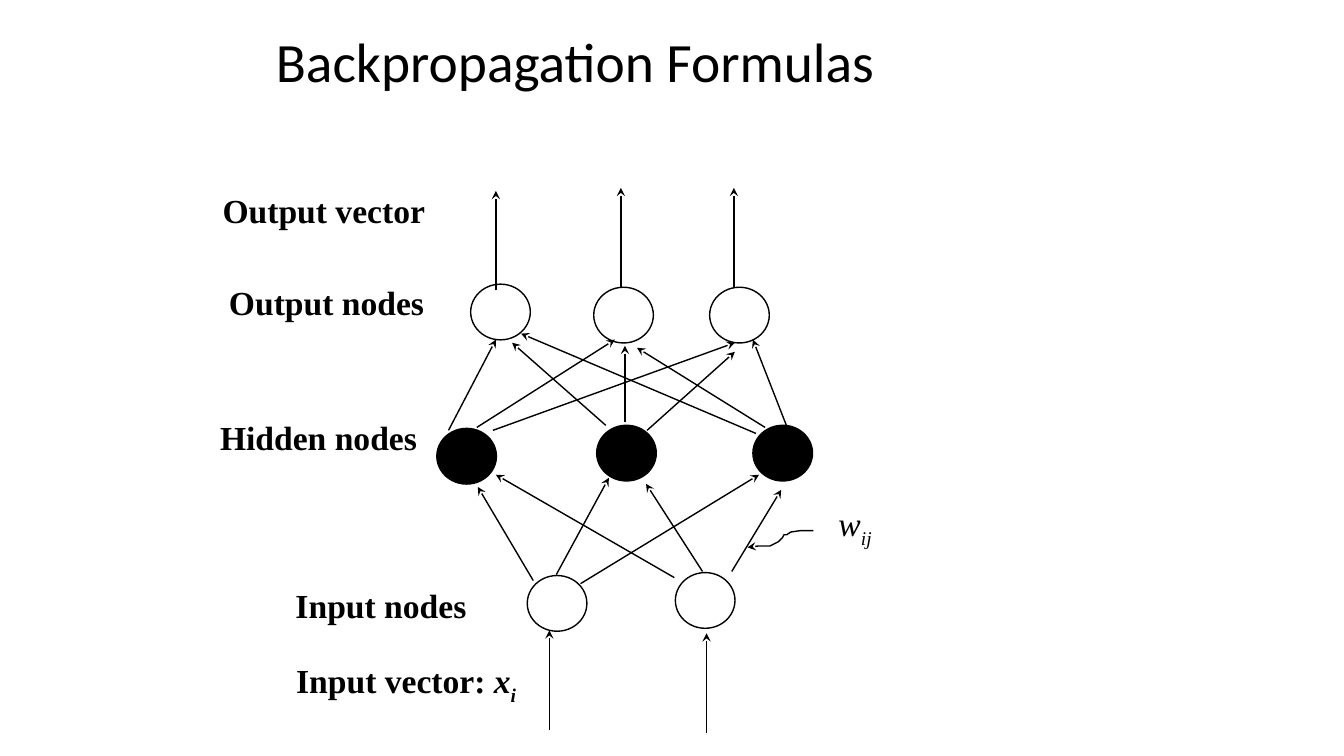
from lxml.etree import SubElement
from pptx import Presentation
from pptx.dml.color import RGBColor
from pptx.enum.shapes import MSO_CONNECTOR, MSO_SHAPE
from pptx.enum.text import MSO_ANCHOR, MSO_AUTO_SIZE, PP_ALIGN
from pptx.oxml.ns import qn
from pptx.util import Pt

BLACK = "000000"
NODE_WIDTH, NODE_HEIGHT = 42.6, 39.8
VECTOR_LENGTH = 71
LABEL_HEIGHT = 36.7

OUTPUT_NODES = [(24.2, 69), (112.1, 71.2), (194.9, 71.2)]
HIDDEN_NODES = [(0, 172), (114.2, 169.8), (225.8, 169.8)]
INPUT_NODES = [(64.6, 277.1), (170.4, 275)]
INPUT_LINKS = [
    (68.9, 280.7, 29.3, 213.8), (85.4, 276.4, 122.9, 207.3), (102.7, 282.9, 230.2, 205.1),
    (169.7, 278.6, 42.2, 205.1), (189.8, 274.2, 149.5, 211.6), (210.7, 274.2, 246, 215.9),
]
HIDDEN_LINKS = [
    (8.4, 173.4, 42.2, 108.6), (28.6, 171.3, 127.2, 108.6), (40.1, 173.4, 212.9, 110.8),
    (228, 175.6, 60.2, 104.3), (250.3, 171.3, 225.8, 108.6), (234.5, 171.3, 143, 114.4),
    (120.7, 169.8, 53.8, 110.8), (134.4, 167.7, 134.4, 113), (150.2, 173.4, 212.9, 117.3),
]
VECTOR_STARTS = [(80.4, 387.3), (192.7, 389.4), (42.2, 73.4), (131.5, 71.2), (212.2, 71.2)]
WEIGHT_POINTER = [
    (269, 244.7), (260.4, 245.4), (253.2, 246.2), (250.3, 247.6), (248.2, 248.3),
    (246.7, 249.8), (246, 251.2), (245.3, 251.9), (243.8, 253.4), (241.7, 254.1),
    (238.1, 255.5), (230.2, 256.2), (221.5, 257),
]

BOLD = {"bold": True}
BOLD_ITALIC = {"bold": True, "italic": True}
ITALIC = {"italic": True}
SUBSCRIPT = {"baseline": "-25000"}
LABELS = [
    (2, 0, 160.6, [("Output vector", BOLD, {})]),
    (6.5, 66, 155.5, [("Output nodes", BOLD, {})]),
    (0, 162, 157, [("Hidden nodes", BOLD, {})]),
    (54, 282, 138.2, [("Input nodes", BOLD, {})]),
    (54, 336, 174.2, [("Input vector: ", BOLD, {}), ("x", BOLD_ITALIC, {}),
                      ("i", BOLD_ITALIC, SUBSCRIPT)]),
    (442, 224, 39.6, [("w", ITALIC, {}), ("ij", ITALIC, SUBSCRIPT)]),
]


def color(value):
    """Turn a hex string into a colour."""
    return RGBColor.from_string(value)


def style_line(shape, arrow=False):
    """Give a shape a thin black line, with a stealth head if asked."""
    shape.line.color.rgb = color(BLACK)
    shape.line.width = Pt(1)
    if arrow:
        SubElement(shape.line._get_or_add_ln(), qn("a:tailEnd"), type="stealth")


def add_run(paragraph, text, formats):
    """Add a black run with the given font values."""
    run = paragraph.add_run()
    run.text = text
    run.font.color.rgb = color(BLACK)
    for name, value in formats.items():
        setattr(run.font, name, value)
    return run


def add_node(slide, left, top, fill=None):
    """Draw one network node."""
    node = slide.shapes.add_shape(MSO_SHAPE.OVAL, Pt(left), Pt(top), Pt(NODE_WIDTH), Pt(NODE_HEIGHT))
    node.shadow.inherit = False
    if fill:
        node.fill.solid()
        node.fill.fore_color.rgb = color(fill)
    else:
        node.fill.background()
    style_line(node)


def add_arrow(slide, start_x, start_y, end_x, end_y):
    """Draw a straight arrow between two points."""
    arrow = slide.shapes.add_connector(
        MSO_CONNECTOR.STRAIGHT, Pt(start_x), Pt(start_y), Pt(end_x), Pt(end_y))
    style_line(arrow, arrow=True)
    SubElement(arrow._element.spPr, qn("a:effectLst"))


def add_network(slide, left, top):
    """Draw the layers, their links and the weight pointer."""
    for nodes, fill in ((OUTPUT_NODES, None), (HIDDEN_NODES, BLACK), (INPUT_NODES, None)):
        for x, y in nodes:
            add_node(slide, left + x, top + y, fill)
    vectors = [(x, y, x, y - VECTOR_LENGTH) for x, y in VECTOR_STARTS]
    for start_x, start_y, end_x, end_y in INPUT_LINKS + HIDDEN_LINKS + vectors:
        add_arrow(slide, left + start_x, top + start_y, left + end_x, top + end_y)
    points = [(left + x, top + y) for x, y in WEIGHT_POINTER]
    builder = slide.shapes.build_freeform(*points[0], scale=Pt(1))
    builder.add_line_segments(points[1:], close=False)
    pointer = builder.convert_to_shape()
    pointer.shadow.inherit = False
    pointer.fill.background()
    style_line(pointer, arrow=True)


def add_labels(slide, left, top):
    """Write the layer names and the weight symbol."""
    for x, y, width, runs in LABELS:
        box = slide.shapes.add_textbox(Pt(left + x), Pt(top + y), Pt(width), Pt(LABEL_HEIGHT))
        frame = box.text_frame
        frame.word_wrap = False
        frame.auto_size = MSO_AUTO_SIZE.SHAPE_TO_FIT_TEXT
        paragraph = frame.paragraphs[0]
        paragraph.alignment = PP_ALIGN.CENTER
        for text, formats, attributes in runs:
            run = add_run(paragraph, text, {"name": "Times New Roman", "size": Pt(24), **formats})
            for name, value in attributes.items():
                run.font._element.set(name, value)


def add_title(slide, left, top, width, height):
    """Write the slide title."""
    frame = slide.shapes.add_textbox(Pt(left), Pt(top), Pt(width), Pt(height)).text_frame
    frame.word_wrap = True
    frame.vertical_anchor = MSO_ANCHOR.MIDDLE
    paragraph = frame.paragraphs[0]
    paragraph.line_spacing = 0.9
    add_run(paragraph, "Backpropagation Formulas", {"name": "Calibri", "size": Pt(39.6)})


def main():
    """Build and save the slide."""
    presentation = Presentation()
    presentation.slide_width, presentation.slide_height = Pt(960), Pt(540)
    slide = presentation.slides.add_slide(presentation.slide_layouts[6])
    add_network(slide, 312, 134)
    add_labels(slide, 149, 132)
    add_title(slide, 190, 22.3, 606, 48.2)
    presentation.save("out.pptx")


if __name__ == "__main__":
    main()
